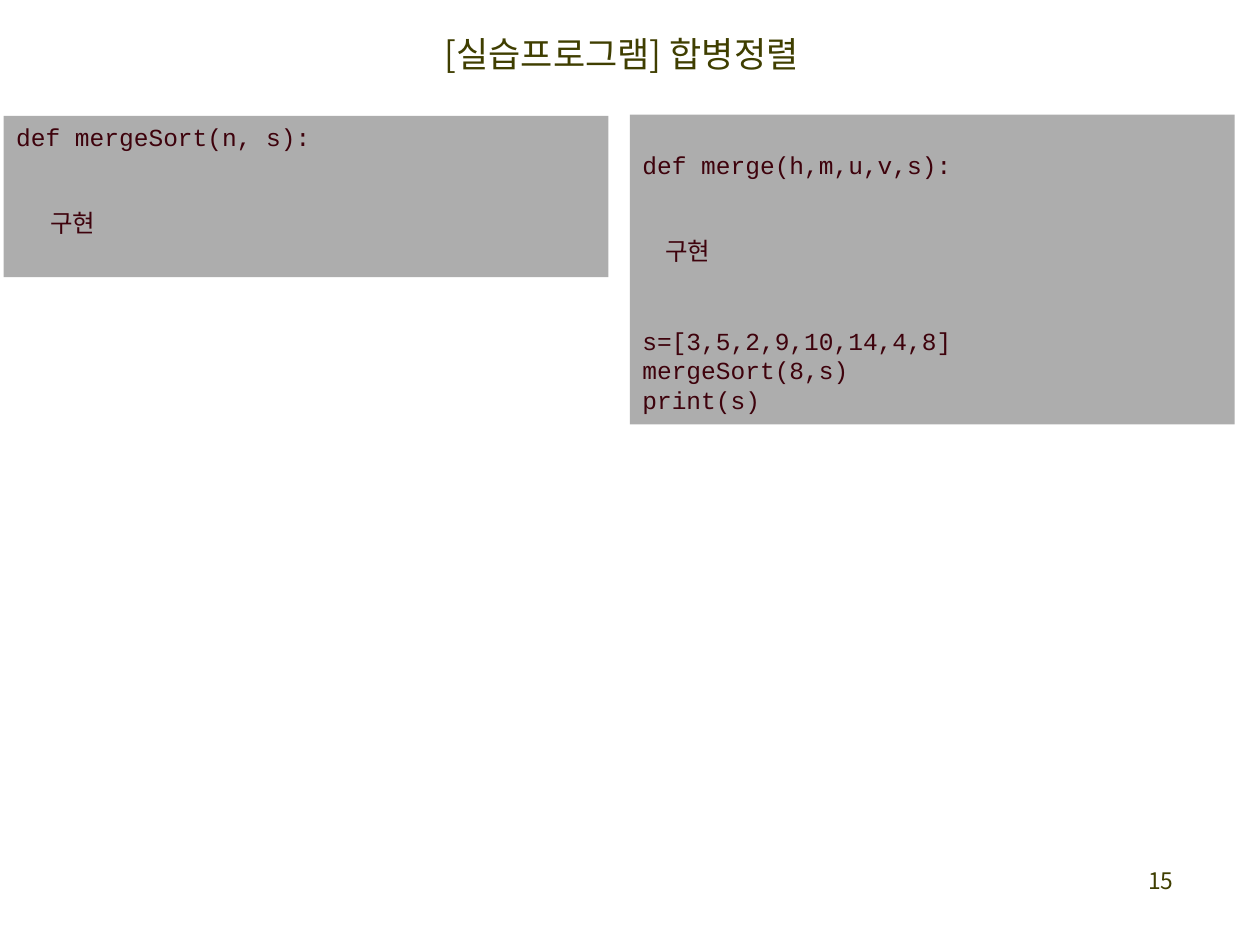
from lxml import etree
from pptx import Presentation
from pptx import util as u
from pptx.dml.color import RGBColor
from pptx.enum import shapes, text
from pptx.oxml import ns

KOREAN_FONT = "Noto Sans CJK KR"
CODE_FONT = "Courier New"
OLIVE, MAROON, GRAY = "3F3E00", "3E020C", "ADADAD"


def color(value):
    return RGBColor.from_string(value)


class SlideBuilder:
    def __init__(self, slide):
        self.slide = slide

    def add_run(self, paragraph, content, size, font, ink):
        run = paragraph.add_run()
        run.text = content
        run.font.size = u.Pt(size)
        run.font.name = font
        run.font.color.rgb = color(ink)
        # Hangul takes the East Asian font
        east_asian = etree.SubElement(run.font._element, ns.qn("a:ea"))
        east_asian.set("typeface", KOREAN_FONT)

    def label(self, box, content, size, align, wrap=True):
        shape = self.slide.shapes.add_textbox(*map(u.Inches, box))
        shape.text_frame.word_wrap = wrap
        paragraph = shape.text_frame.paragraphs[0]
        paragraph.alignment = align
        self.add_run(paragraph, content, size, KOREAN_FONT, OLIVE)

    def code_block(self, box, lines, top_inset=0.05):
        """Each line is (content, space before in points, indent in inches)."""
        shape = self.slide.shapes.add_shape(
            shapes.MSO_SHAPE.RECTANGLE, *map(u.Inches, box))
        shape.shadow.inherit = False
        shape.fill.solid()
        shape.fill.fore_color.rgb = color(GRAY)
        shape.line.fill.background()
        frame = shape.text_frame
        frame.word_wrap = True
        frame.vertical_anchor = text.MSO_ANCHOR.TOP
        frame.margin_top = u.Inches(top_inset)
        for index, (content, gap, indent) in enumerate(lines):
            paragraph = frame.add_paragraph() if index else frame.paragraphs[0]
            paragraph.alignment = text.PP_ALIGN.LEFT
            paragraph.line_spacing = u.Pt(16.9)
            paragraph.space_before = u.Pt(gap)
            if indent:
                properties = paragraph._p.get_or_add_pPr()
                properties.set("marL", str(u.Inches(indent)))
            self.add_run(paragraph, content, 14, CODE_FONT, MAROON)


def main():
    presentation = Presentation()
    presentation.slide_width = u.Inches(10)
    presentation.slide_height = u.Inches(7.5)
    slide = presentation.slides.add_slide(presentation.slide_layouts[6])
    builder = SlideBuilder(slide)

    # Page number
    builder.label((7.33, 6.83, 2.08, 0.5), "15", 13, text.PP_ALIGN.RIGHT)

    # Code blocks
    builder.code_block((0.03, 0.92, 4.8, 1.28), [
        ("def mergeSort(n, s):", 0, 0),
        ("구현", 32.2, 0.27),
    ])
    builder.code_block((5, 0.91, 4.8, 2.46), [
        ("def merge(h,m,u,v,s):", 0, 0),
        ("구현", 32.2, 0.18),
        ("s=[3,5,2,9,10,14,4,8]", 34.5, 0),
        ("mergeSort(8,s)", 0, 0),
        ("print(s)", 0, 0),
    ], top_inset=0.28)

    # Title
    builder.label((3.43, 0.21, 3.38, 0.44), "[실습프로그램] 합병정렬", 20,
                  text.PP_ALIGN.LEFT, wrap=False)

    presentation.save("out.pptx")


if __name__ == "__main__":
    main()
